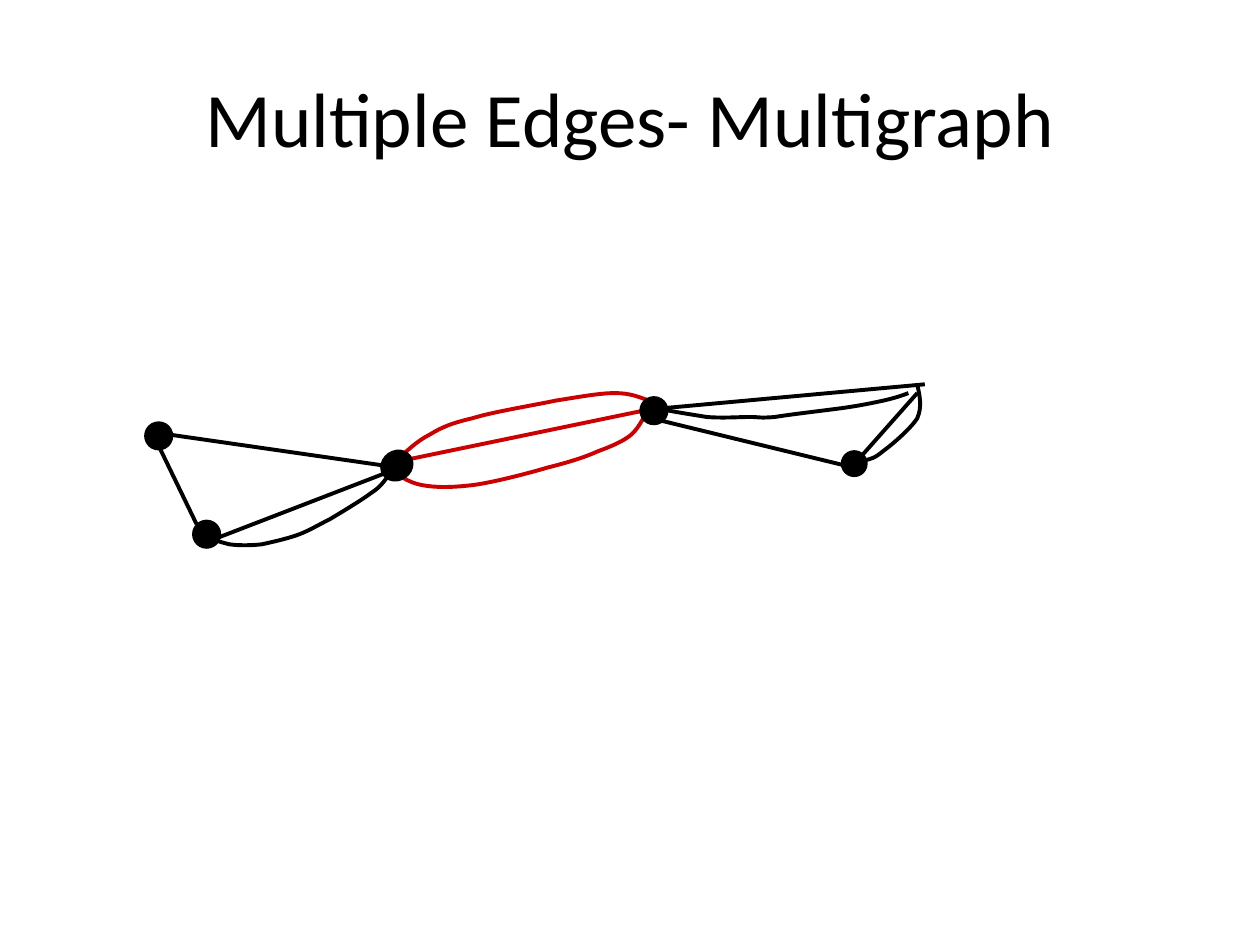
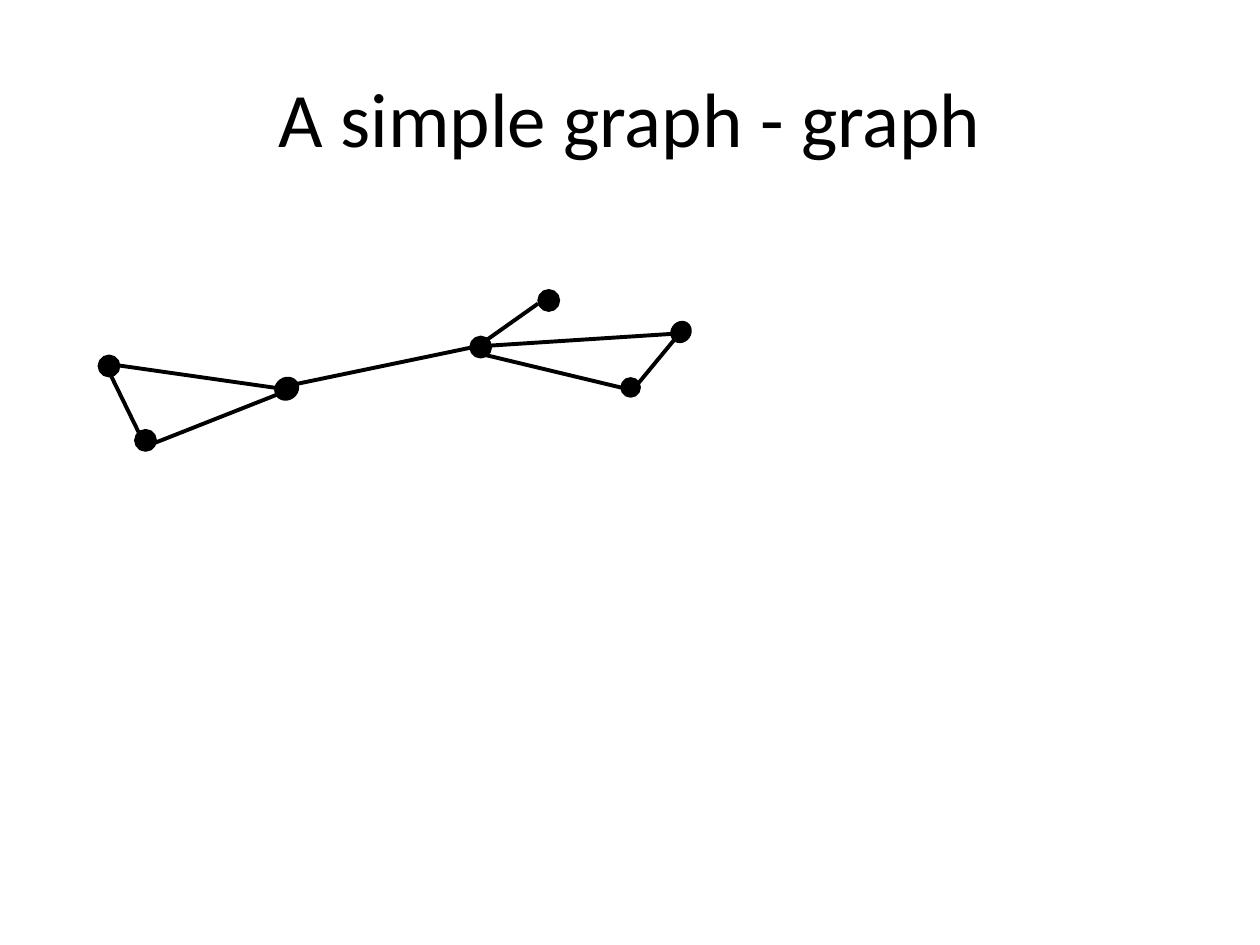
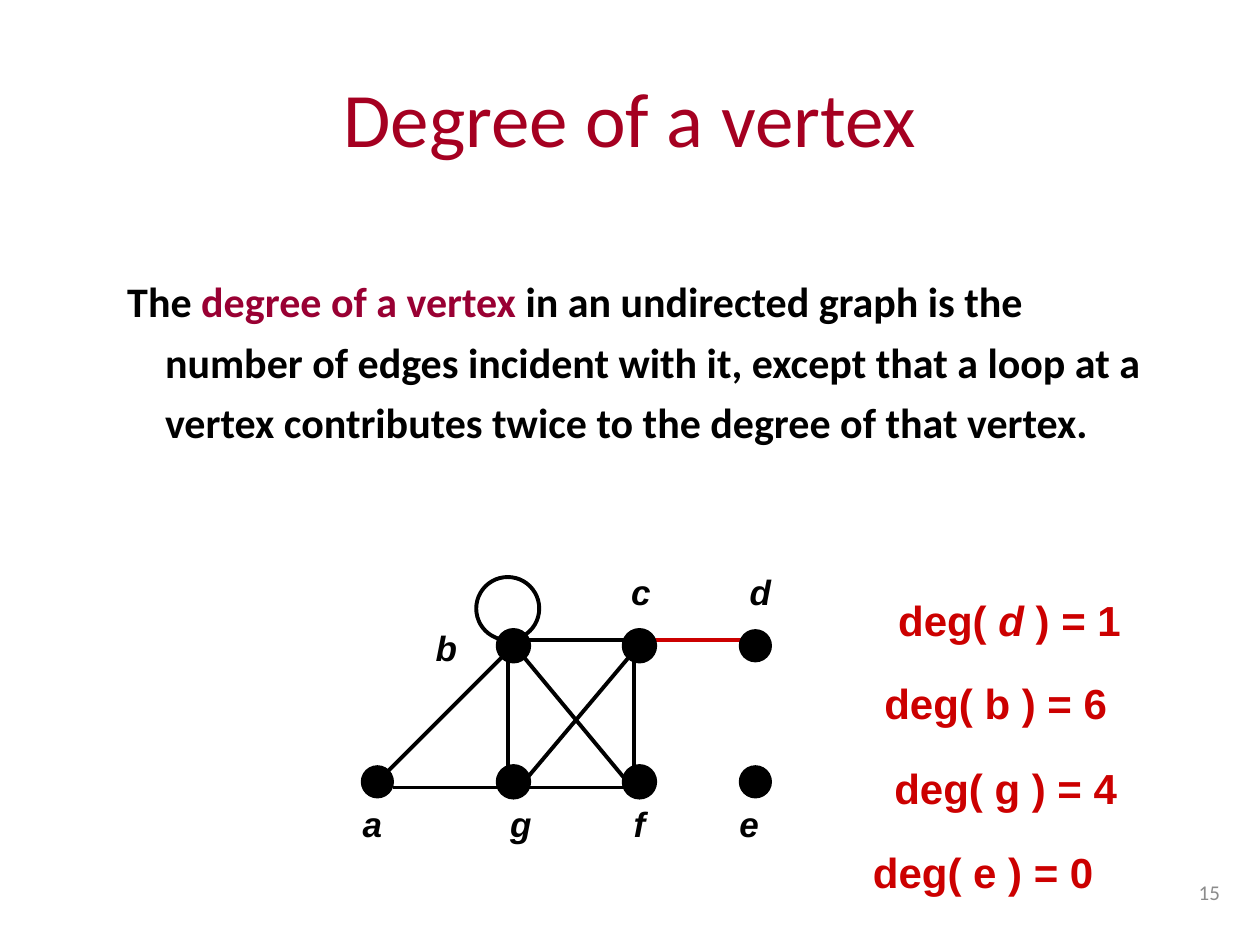
"""Build three slides on multigraphs, simple graphs and vertex degree."""
from pptx import Presentation
from pptx.dml.color import RGBColor
from pptx.enum.shapes import MSO_CONNECTOR as Link, MSO_SHAPE as Kind
from pptx.enum.text import MSO_ANCHOR as Anchor, MSO_AUTO_SIZE as Fit, PP_ALIGN as Align
from pptx.oxml.ns import qn
from pptx.util import Emu, Pt

PX = 9144
BLACK, RED, WINE, ROSE, GRAY = "000000", "CC0000", "A50021", "990033", "8C8C8C"


def px(n):
    return Emu(n * PX)


def tint(code):
    return RGBColor.from_string(code)


class Deck:
    def __init__(self):
        self.show = Presentation()
        self.show.slide_width, self.show.slide_height = px(1000), px(750)

    def place(self, shape, x, y, w, h):
        shape.left, shape.top, shape.width, shape.height = map(px, (x, y, w, h))

    def font(self, item, size, color, name="Calibri", bold=False, italic=False):
        font = item.font
        font.size, font.name, font.bold, font.italic = Pt(size), name, bold, italic
        font.color.rgb = tint(color)

    def start(self, title, color=BLACK, layout=5):
        self.slide = self.show.slides.add_slide(self.show.slide_layouts[layout])
        self.shapes = self.slide.shapes
        head = self.shapes.title
        self.place(head, 50, 30, 900, 125)
        head.text_frame.text = title
        head.text_frame.vertical_anchor = Anchor.MIDDLE
        par = head.text_frame.paragraphs[0]
        par.alignment = Align.CENTER
        self.font(par, 44, color)

    def body(self, runs, x, y, w, h):
        box = self.slide.placeholders[1]
        self.place(box, x, y, w, h)
        box.text_frame.auto_size = Fit.NONE
        par = box.text_frame.paragraphs[0]
        par.line_spacing, par.space_before = 1.2, Pt(0)
        props = par._p.get_or_add_pPr()
        props.set("marL", str(px(38)))
        props.set("indent", str(px(-30)))
        props.append(props.makeelement(qn("a:buNone")))
        for text, color in runs:
            run = par.add_run()
            run.text = text
            self.font(run, 24, color, bold=True)

    def text(self, words, x, y, w, h, size, color, name="Arial", bold=True, italic=False):
        box = self.shapes.add_textbox(px(x), px(y), px(w), px(h))
        box.text_frame.word_wrap = True
        par = box.text_frame.paragraphs[0]
        self.font(par, size, color, name, bold, italic)
        for part in words:
            par.add_run().text = part
        return box.text_frame, par

    def stroke(self, line, color=BLACK, weight=2.25):
        line.color.rgb, line.width = tint(color), Pt(weight)

    def edge(self, x1, y1, x2, y2, color=BLACK):
        line = self.shapes.add_connector(Link.STRAIGHT, px(x1), px(y1), px(x2), px(y2))
        self.stroke(line.line, color)
        props = line._element.spPr
        props.append(props.makeelement(qn("a:effectLst")))

    def curve(self, points, color=BLACK):
        pen = self.shapes.build_freeform(*points[0], scale=PX)
        pen.add_line_segments(points[1:], close=False)
        shape = pen.convert_to_shape()
        shape.shadow.inherit = False
        shape.fill.background()
        self.stroke(shape.line, color)
        steps = list(shape._element.iter(qn("a:lnTo")))
        for i in range(0, len(steps), 3):
            arc = steps[i].makeelement(qn("a:cubicBezTo"))
            steps[i].addprevious(arc)
            for step in steps[i:i + 3]:
                arc.append(step[0])
                step.getparent().remove(step)

    def dot(self, x, y, w, h, weight=2.25, turn=0, fill=BLACK):
        shape = self.shapes.add_shape(Kind.OVAL, px(x), px(y), px(w), px(h))
        shape.shadow.inherit = False
        shape.rotation = turn
        if fill:
            shape.fill.solid()
            shape.fill.fore_color.rgb = tint(fill)
        else:
            shape.fill.background()
        self.stroke(shape.line, BLACK, weight)


def multi(deck):
    deck.start("Multiple Edges- Multigraph")
    for ends in [(127, 356, 156, 416), (135, 345, 322, 372), (315, 372, 162, 431),
                 (515, 325, 734, 305), (517, 332, 681, 372), (681, 365, 728, 312)]:
        deck.edge(*ends)
    deck.edge(515, 325, 322, 365, RED)
    deck.curve([(162, 425), (168, 428), (174, 430), (182, 432), (189, 433), (199, 433),
                (208, 432), (217, 430), (226, 428), (235, 425), (244, 422), (252, 417),
                (262, 412), (272, 406), (287, 397), (295, 391), (303, 386), (306, 380),
                (308, 378)])
    deck.curve([(308, 371), (316, 377), (324, 383), (335, 385), (346, 387), (358, 387),
                (375, 385), (391, 383), (418, 376), (435, 371), (451, 367), (464, 363),
                (475, 358), (486, 354), (495, 350), (501, 345), (508, 339), (512, 328),
                (515, 325)], RED)
    deck.curve([(315, 365), (323, 358), (331, 350), (341, 345), (351, 339), (358, 336),
                (375, 332), (391, 327), (422, 322), (441, 318), (460, 315), (476, 312),
                (488, 312), (500, 312), (507, 315), (515, 318)], RED)
    deck.curve([(728, 305), (730, 314), (732, 323), (728, 332), (723, 340), (708, 353),
                (701, 358), (694, 364), (691, 364), (688, 365), (684, 366), (683, 365),
                (681, 365)])
    deck.curve([(521, 324), (535, 327), (549, 329), (561, 331), (574, 332), (586, 331),
                (595, 331), (604, 331), (602, 332), (615, 331), (627, 329), (653, 326),
                (668, 324), (682, 322), (692, 320), (701, 318), (710, 316), (716, 314),
                (721, 312)])
    for x, y in [(116, 336), (154, 414), (509, 316)]:
        deck.dot(x, y, 20, 20)
    deck.dot(668, 358, 20, 20, 1)
    deck.dot(302, 358, 26, 23, 1, 324.8)


def simple(deck):
    deck.start("A simple graph - graph")
    for ends in [(88, 298, 110, 343), (427, 241, 386, 270), (94, 290, 234, 310),
                 (228, 310, 114, 355), (378, 275, 533, 265), (378, 280, 503, 310),
                 (378, 275, 234, 305), (539, 265, 501, 311)]:
        deck.edge(*ends)
    for x, y in [(79, 283), (108, 342), (428, 231), (374, 268)]:
        deck.dot(x, y, 15, 15)
    deck.dot(493, 300, 15, 15, 1)
    deck.dot(533, 255, 15, 17, 1, 35.2)
    deck.dot(218, 300, 19, 17, 1, 324.8)


def degree(deck):
    deck.start("Degree of a vertex", WINE, 1)
    deck.body([("The ", BLACK), ("degree of a vertex", ROSE),
               (" in an undirected graph is the number of edges incident with it, except that "
                "a loop at a vertex contributes twice to the degree of that vertex.", BLACK)],
              83, 206, 834, 235)
    frame, par = deck.text(["15"], 770, 683, 208, 50, 12, GRAY, "Calibri", False)
    frame.vertical_anchor, par.alignment = Anchor.MIDDLE, Align.RIGHT

    deck.edge(595, 508, 503, 508, RED)
    for ends in [(403, 525, 403, 608), (503, 525, 503, 608), (412, 625, 503, 625),
                 (412, 517, 495, 617), (503, 517, 412, 625), (403, 508, 503, 508),
                 (312, 625, 403, 625), (403, 517, 303, 617)]:
        deck.edge(*ends)
    deck.dot(378, 458, 50, 50, fill=None)
    for x in (395, 495):
        for y in (500, 608):
            deck.dot(x, y, 25, 25)
    for x, y in [(287, 608), (587, 500), (587, 608)]:
        deck.dot(x, y, 25, 25, 1)

    for name, x, y in [("a", 278, 632), ("b", 336, 492), ("g", 395, 632), ("f", 493, 632),
                       ("e", 577, 632), ("c", 491, 448), ("d", 585, 448)]:
        deck.text([name], x, y, 45, 43, 20, BLACK, italic=True)
    sums = [(703, ["deg( ", "d ", ") = 1"]), (692, ["deg( b ) = 6"]),
            (700, ["deg( g ) = 4"]), (683, ["deg( e ) = 0"])]
    for i, (x, words) in enumerate(sums):
        par = deck.text(words, x, 467 + 200 * i // 3, 210, 50, 24, RED)[1]
        if len(words) > 1:
            par.runs[1].font.italic = True


def main():
    deck = Deck()
    for draw in (multi, simple, degree):
        draw(deck)
    deck.show.save("out.pptx")


if __name__ == "__main__":
    main()
